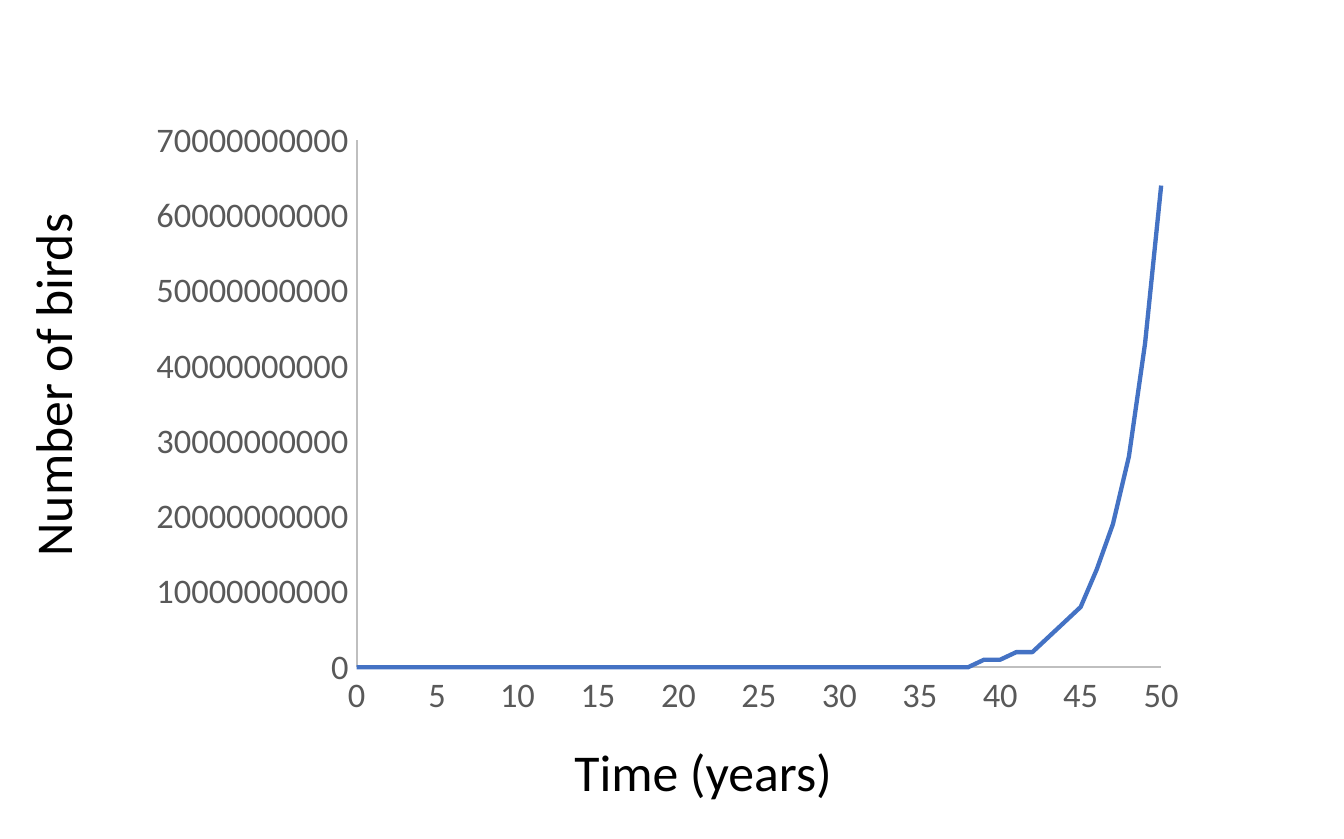
from pptx import Presentation
from pptx.chart.data import XyChartData
from pptx.dml.color import RGBColor
from pptx.enum.chart import XL_CHART_TYPE, XL_TICK_LABEL_POSITION, XL_TICK_MARK
from pptx.enum.text import MSO_AUTO_SIZE
from pptx.oxml import parse_xml
from pptx.oxml.ns import nsdecls
from pptx.util import Inches, Pt

BLACK = RGBColor(0x00, 0x00, 0x00)
GREY = RGBColor(0x59, 0x59, 0x59)
SILVER = RGBColor(0xBF, 0xBF, 0xBF)
BLUE = RGBColor(0x44, 0x72, 0xC4)
FONT = "Calibri"

deck = Presentation()
deck.slide_width, deck.slide_height = Inches(6.5), Inches(4.06)
slide = deck.slides.add_slide(deck.slide_layouts[6])


def add_text(text, left, top, width, height=0.4, size=18, color=BLACK, turn=0):
    box = slide.shapes.add_textbox(
        Inches(left), Inches(top), Inches(width), Inches(height))
    box.rotation = turn
    frame = box.text_frame
    frame.word_wrap = False
    frame.auto_size = MSO_AUTO_SIZE.SHAPE_TO_FIT_TEXT
    run = frame.paragraphs[0].add_run()
    run.text = text
    run.font.name, run.font.size = FONT, Pt(size)
    run.font.color.rgb = color


# Bird numbers: 100 at the start, growing by half each year
data = XyChartData()
birds = data.add_series("Series 1")
for year in range(51):
    birds.add_data_point(year, round(100 * 1.5 ** year, -9))

# Growth chart
chart = slide.shapes.add_chart(
    XL_CHART_TYPE.XY_SCATTER_SMOOTH_NO_MARKERS,
    Inches(0.65), Inches(0.53), Inches(5.12), Inches(3), data).chart
chart.has_legend = False
chart.has_title = False
chart.font.name, chart.font.size = FONT, Pt(10)
chart.font.color.rgb = BLACK
plot = chart.plots[0]
plot.vary_by_categories = False
curve = plot.series[0]
curve.smooth = True
curve.format.line.color.rgb = BLUE
curve.format.line.width = Pt(1.5)

# Axes
for axis, top, step in ((chart.category_axis, 50, 5),
                        (chart.value_axis, 70e9, 10e9)):
    axis.minimum_scale, axis.maximum_scale = 0, top
    axis.major_unit = step
    axis.has_major_gridlines = False
    axis.has_title = False
    axis.major_tick_mark = axis.minor_tick_mark = XL_TICK_MARK.NONE
    axis.tick_label_position = XL_TICK_LABEL_POSITION.NEXT_TO_AXIS
    labels = axis.tick_labels
    labels.number_format, labels.number_format_is_linked = "General", False
    labels.font.name, labels.font.size = FONT, Pt(12)
    labels.font.color.rgb = GREY
    axis.format.line.color.rgb = SILVER
    axis.format.line.width = Pt(0.75)

# Plot area as shares of the chart frame
area = chart.element.chart.plotArea
for old in area.xpath("c:layout"):
    area.remove(old)
modes = "".join(f'<c:{side}Mode val="edge"/>' for side in "xy")
sizes = "".join(f'<c:{side} val="{share}"/>' for side, share in
                (("x", 0.21), ("y", 0.05), ("w", 0.76), ("h", 0.85)))
area.insert(0, parse_xml(
    f'<c:layout {nsdecls("c")}><c:manualLayout><c:layoutTarget val="inner"/>'
    f'{modes}{sizes}</c:manualLayout></c:layout>'))

# Axis names
add_text("Time (years)", 2.68, 3.53, 1.46)
add_text("Number of birds", -0.69, 1.65, 1.88, turn=270)

deck.save("out.pptx")
